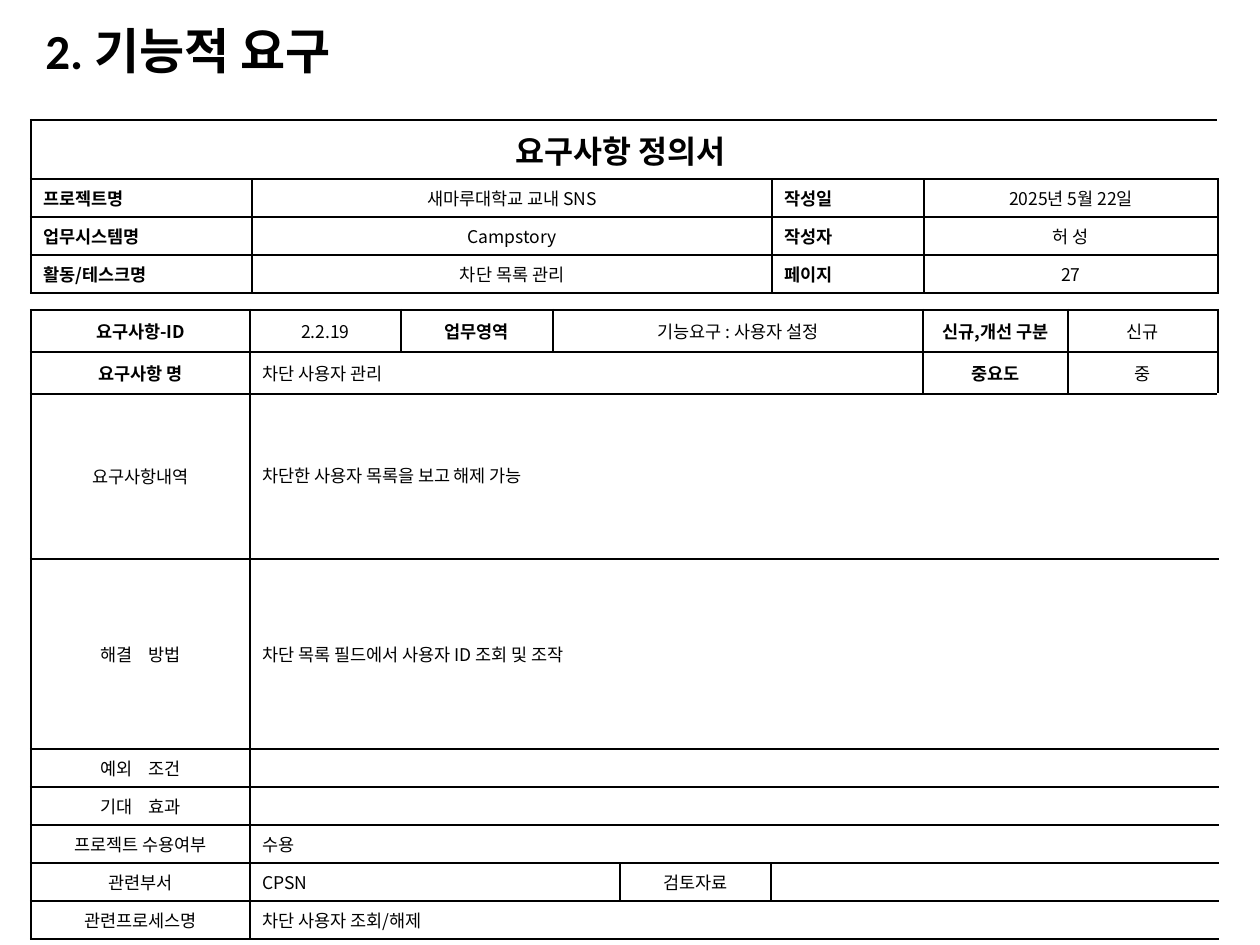
from collections import namedtuple

from pptx import Presentation
from pptx import util as u
from pptx.dml.color import RGBColor
from pptx.enum import text
from pptx.oxml.ns import qn
from lxml import etree

EMU_PER_PX = 914400 / 126
COLORS = {"ink": "000000"}
KOREAN, LATIN = "Noto Sans CJK KR", "Calibri"
THIN, THICK = 1, 1.5
GAP = "|"  # marks a widened space inside a label
GAP_SPACING = 700  # hundredths of a point

Style = namedtuple("Style", "align bold size font", defaults=(False, 10, KOREAN))
ALIGN = text.PP_ALIGN
HEADING = Style(ALIGN.CENTER, True, 18)
FIELD = Style(ALIGN.JUSTIFY, True)
LABEL = Style(ALIGN.CENTER, True)
CENTERED = Style(ALIGN.CENTER)
BODY = Style(ALIGN.LEFT)
DETAIL = Style(ALIGN.LEFT, font=LATIN)

# Each cell is (column span, wording, style).
PROJECT_COLUMNS = [221, 520, 152, 294]
PROJECT_HEIGHTS = [59, 38, 38, 38]
PROJECT_FIELDS = [
    ("프로젝트명", "새마루대학교 교내 SNS", "작성일", "2025년 5월 22일"),
    ("업무시스템명 ", "Campstory", "작성자", "허 성"),
    ("활동/테스크명", "차단 목록 관리", "페이지", "27"),
]
PROJECT_ROWS = [[(4, "요구사항 정의서 ", HEADING)]] + [
    [(1, wording, style) for wording, style in zip(fields, (FIELD, CENTERED) * 2)]
    for fields in PROJECT_FIELDS
]

REQUIREMENT_COLUMNS = [219, 151, 152, 67, 151, 152, 145, 150]
REQUIREMENT_HEIGHTS = [42, 42, 165, 190] + [38] * 5
REQUIREMENT_ROWS = [
    [(1, "요구사항-ID", LABEL), (1, "2.2.19", CENTERED), (1, "업무영역", LABEL),
     (3, "기능요구 : 사용자 설정", CENTERED), (1, "신규,개선 구분", LABEL),
     (1, "신규", CENTERED)],
    [(1, "요구사항 명", LABEL), (5, "차단 사용자 관리", BODY),
     (1, "중요도", LABEL), (1, "중", CENTERED)],
    [(1, "요구사항내역", CENTERED), (7, "차단한 사용자 목록을 보고 해제 가능", DETAIL)],
    [(1, "해결|방법", CENTERED), (7, "차단 목록 필드에서 사용자 ID 조회 및 조작", BODY)],
    [(1, "예외|조건", CENTERED), (7, "", BODY)],
    [(1, "기대|효과", CENTERED), (7, "", BODY)],
    [(1, "프로젝트 수용여부", CENTERED), (7, "수용", BODY)],
    [(1, "관련부서", CENTERED), (3, "CPSN", BODY), (1, "검토자료", CENTERED), (3, "", BODY)],
    [(1, "관련프로세스명", CENTERED), (7, "차단 사용자 조회/해제", BODY)],
]


def px(length):
    return u.Emu(round(length * EMU_PER_PX))


def add_run(paragraph, wording, style):
    run = paragraph.add_run()
    run.text = wording
    font = run.font
    font.size, font.bold, font.name = u.Pt(style.size), style.bold, style.font
    font.color.rgb = RGBColor.from_string(COLORS["ink"])
    properties = run._r.get_or_add_rPr()
    etree.SubElement(properties, qn("a:ea")).set("typeface", style.font)
    return properties


def write_paragraph(paragraph, wording, style):
    paragraph.alignment = style.align
    for index, part in enumerate(wording.split(GAP) if wording else []):
        if index:
            add_run(paragraph, " ", style).set("spc", str(GAP_SPACING))
        add_run(paragraph, part, style)
    if not wording:
        # An empty cell keeps its row low only if its text size is set.
        end = etree.SubElement(paragraph._p, qn("a:endParaRPr"))
        end.set("sz", str(style.size * 100))


def set_borders(cell, widths):
    """Draw the sides in widths, given in the order lnL, lnR, lnT, lnB."""
    properties = cell._tc.get_or_add_tcPr()
    for index, (side, width) in enumerate(widths.items()):
        line = etree.Element(qn(f"a:{side}"), w=str(u.Pt(width)))
        fill = etree.SubElement(line, qn("a:solidFill"))
        etree.SubElement(fill, qn("a:srgbClr")).set("val", COLORS["ink"])
        properties.insert(index, line)


def border_widths(table, row, column, first, last, thick_rows):
    bottom_row, right_column = len(table.rows) - 1, len(table.columns) - 1
    widths = {}
    if column == first:
        widths["lnL"] = THIN if column else THICK
    if column == last:
        widths["lnR"] = THICK if column == right_column else THIN
    widths["lnT"] = THICK if row == 0 or row - 1 in thick_rows else THIN
    widths["lnB"] = THICK if row == bottom_row or row in thick_rows else THIN
    return widths


def add_form(slide, left, top, columns, heights, rows, thick_rows=()):
    """Add a ruled table; thick_rows have a heavier line below them."""
    table = slide.shapes.add_table(
        len(heights), len(columns), px(left), px(top),
        px(sum(columns)), px(sum(heights))).table
    table.first_row = table.horz_banding = False
    for column, width in zip(table.columns, columns):
        column.width = px(width)
    for row, height in zip(table.rows, heights):
        row.height = px(height)
    for row, cells in enumerate(rows):
        first = 0
        for span, wording, style in cells:
            last = first + span - 1
            origin = table.cell(row, first)
            if span > 1:
                origin.merge(table.cell(row, last))
            origin.vertical_anchor = text.MSO_ANCHOR.MIDDLE
            write_paragraph(origin.text_frame.paragraphs[0], wording, style)
            for column in range(first, last + 1):
                cell = table.cell(row, column)
                cell.fill.background()
                set_borders(cell, border_widths(table, row, column, first, last, thick_rows))
            first = last + 1


def add_title(slide, wording):
    frame = slide.shapes.add_textbox(px(33), px(26), px(675), px(55)).text_frame
    frame.word_wrap = True
    frame.vertical_anchor = text.MSO_ANCHOR.MIDDLE
    paragraph = frame.paragraphs[0]
    paragraph.line_spacing = 0.9
    write_paragraph(paragraph, wording, Style(ALIGN.LEFT, True, 28, LATIN))


def main():
    presentation = Presentation()
    presentation.slide_width, presentation.slide_height = px(1260), px(945)
    slide = presentation.slides.add_slide(presentation.slide_layouts[6])
    add_title(slide, "2. 기능적 요구")
    add_form(slide, 31, 310, REQUIREMENT_COLUMNS, REQUIREMENT_HEIGHTS,
             REQUIREMENT_ROWS, thick_rows=(0, 1))
    add_form(slide, 31, 120, PROJECT_COLUMNS, PROJECT_HEIGHTS, PROJECT_ROWS)
    presentation.save("out.pptx")


if __name__ == "__main__":
    main()
